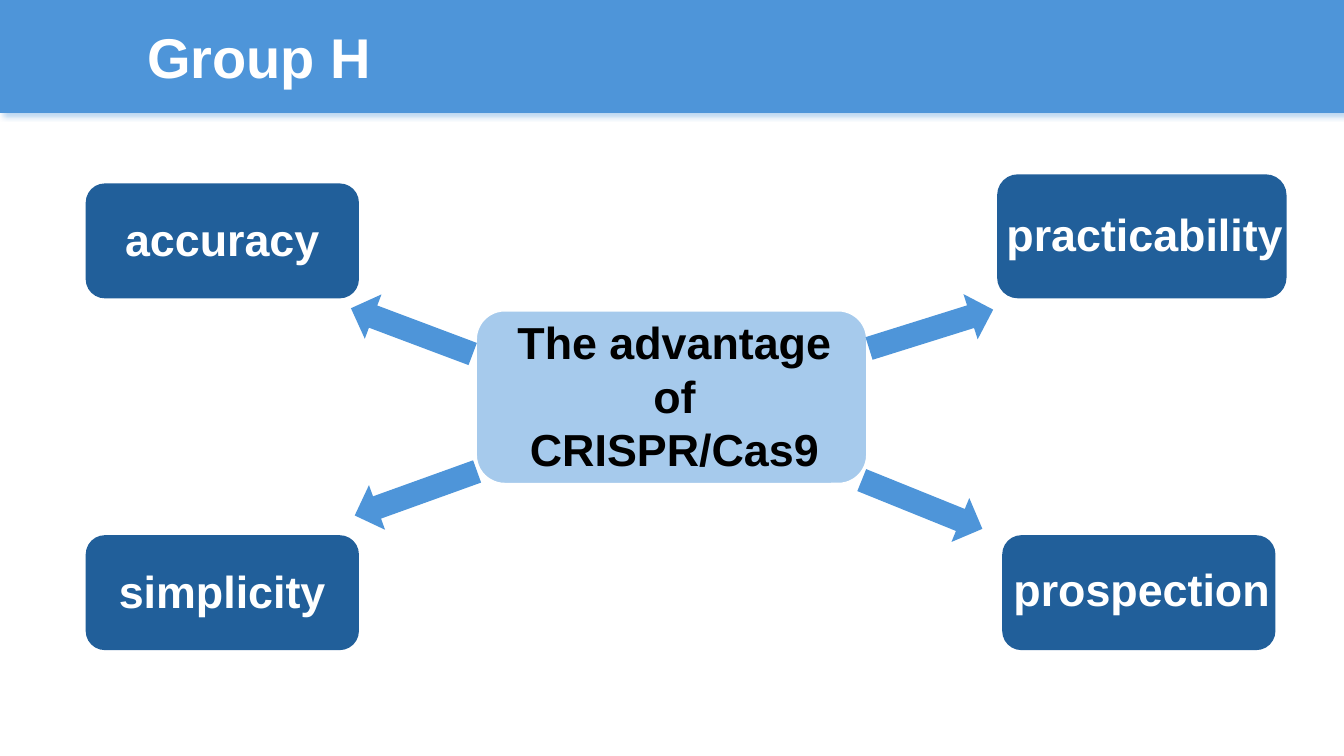
from dataclasses import dataclass

from lxml import etree
from pptx import Presentation
from pptx.dml.color import RGBColor
from pptx.enum.shapes import MSO_SHAPE as SHAPE
from pptx.enum.text import MSO_ANCHOR as ANCHOR, PP_ALIGN as ALIGN
from pptx.oxml.ns import qn
from pptx.util import Inches, Pt

COLORS = {
    "band": "4E95D9",
    "label": "215F9A",
    "center": "A6CAEC",
    "white": "FFFFFF",
    "black": "000000",
}
FONT = "Arial"
ARROW_SIZE = (1.29, 0.47)


@dataclass
class Box:
    text: str
    left: float
    top: float
    width: float
    height: float
    fill: str = "label"
    color: str = "white"
    insets: tuple = (0, 0, 0, 0.05)  # left, top, right, bottom
    wrap: bool = False


@dataclass
class Arrow:
    left: float
    top: float
    rotation: float


CENTER = Box("The advantage of\nCRISPR/Cas9", 4.72, 3.08, 3.88, 1.72,
             "center", "black", (0.3, 0, 0.24, 0.04), True)
LABELS = [
    Box("accuracy", 0.85, 1.82, 2.71, 1.14),
    Box("simplicity", 0.85, 5.31, 2.71, 1.14),
    Box("prospection", 9.94, 5.31, 2.71, 1.14, insets=(0.06, 0, 0, 0.08)),
    Box("practicability", 9.89, 1.73, 2.87, 1.23, insets=(0.06, 0, 0, 0.05)),
]
ARROWS = [
    Arrow(3.44, 3.05, 200.6),
    Arrow(8.59, 3.03, 342.6),
    Arrow(8.5, 4.77, 22),
    Arrow(3.48, 4.66, 160.2),
]


def rgb(name: str) -> RGBColor:
    return RGBColor.from_string(COLORS[name])


def add_filled(s, kind, left: float, top: float, width: float, height: float, fill: str):
    sp = s.shapes.add_shape(kind, Inches(left), Inches(top), Inches(width), Inches(height))
    sp.shadow.inherit = False
    sp.fill.solid()
    sp.fill.fore_color.rgb = rgb(fill)
    sp.line.fill.background()
    return sp


def set_text(sp, text: str, size: float, color: str, align, insets: tuple,
             wrap: bool = True) -> None:
    tf = sp.text_frame
    tf.text = text
    tf.word_wrap = wrap
    tf.vertical_anchor = ANCHOR.MIDDLE
    tf.margin_left, tf.margin_top, tf.margin_right, tf.margin_bottom = map(Inches, insets)
    for p in tf.paragraphs:
        p.alignment = align
        for r in p.runs:
            r.font.name = FONT
            r.font.size = Pt(size)
            r.font.bold = True
            r.font.color.rgb = rgb(color)


def add_box(s, box: Box):
    sp = add_filled(s, SHAPE.ROUNDED_RECTANGLE, box.left, box.top,
                    box.width, box.height, box.fill)
    set_text(sp, box.text, 32, box.color, ALIGN.CENTER, box.insets, box.wrap)
    return sp


def add_arrow(s, arrow: Arrow) -> None:
    sp = add_filled(s, SHAPE.RIGHT_ARROW, arrow.left, arrow.top, *ARROW_SIZE, "band")
    sp.rotation = arrow.rotation


def add_shadow(sp, color: str) -> None:
    effects = sp._element.spPr.find(qn("a:effectLst"))
    shadow = etree.SubElement(effects, qn("a:outerShdw"), blurRad=str(Pt(4)),
                              dist=str(Pt(3)), dir="2700000", algn="tl", rotWithShape="0")
    clr = etree.SubElement(shadow, qn("a:srgbClr"), val=COLORS[color])
    etree.SubElement(clr, qn("a:alpha"), val="40000")


def main() -> None:
    prs = Presentation()
    prs.slide_width, prs.slide_height = Inches(13.33), Inches(7.5)
    s = prs.slides.add_slide(prs.slide_layouts[5])

    # Center box
    center = add_box(s, CENTER)
    center.line.color.rgb = rgb("white")
    center.line.width = Pt(1.5)

    # Header band and title
    band = add_filled(s, SHAPE.RECTANGLE, 0, 0, 13.33, 1.12, "band")
    add_shadow(band, "band")
    title = s.shapes.title
    title.left, title.top = Inches(1.36), Inches(0.17)
    title.width, title.height = Inches(3.15), Inches(0.77)
    set_text(title, "Group H", 40, "white", ALIGN.LEFT, (0.1, 0.05, 0.1, 0.05))
    band._element.addnext(title._element)  # keep the title above the band

    # Advantages and the arrows to them
    for label in LABELS:
        add_box(s, label)
    for arrow in ARROWS:
        add_arrow(s, arrow)

    prs.save("out.pptx")


if __name__ == "__main__":
    main()
